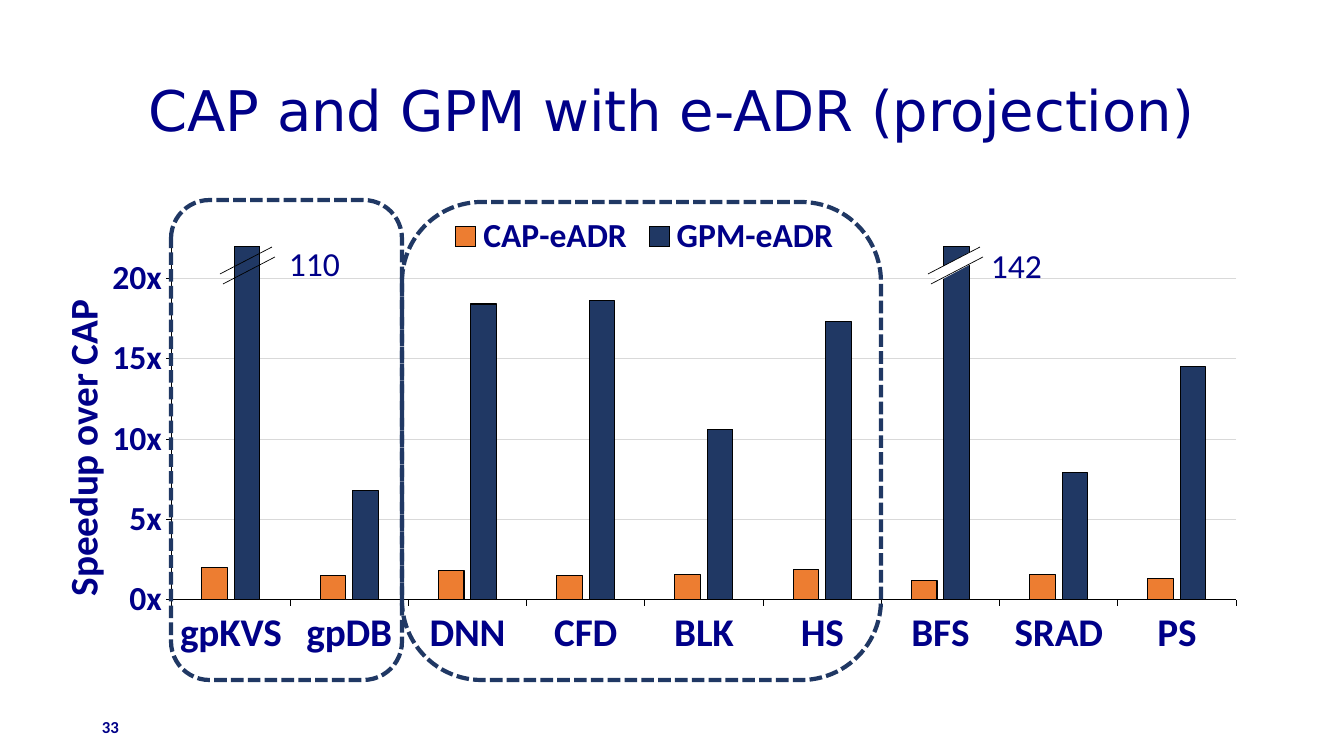
from lxml import etree
from pptx import Presentation
from pptx.chart.data import CategoryChartData
from pptx.dml.color import RGBColor
from pptx.enum.chart import XL_CHART_TYPE, XL_LEGEND_POSITION, XL_TICK_MARK
from pptx.enum.dml import MSO_LINE
from pptx.enum.shapes import MSO_CONNECTOR, MSO_SHAPE
from pptx.enum.text import MSO_ANCHOR, PP_ALIGN
from pptx.oxml import parse_xml
from pptx.oxml.ns import nsdecls, qn
from pptx.util import Emu, Pt

COLUMNS = XL_CHART_TYPE.COLUMN_CLUSTERED
LEGEND_TOP = XL_LEGEND_POSITION.TOP
TICK_OUT = XL_TICK_MARK.OUTSIDE
DASH = MSO_LINE.SQUARE_DOT
STRAIGHT = MSO_CONNECTOR.STRAIGHT
ROUNDED = MSO_SHAPE.ROUNDED_RECTANGLE
PARALLELOGRAM = MSO_SHAPE.FLOWCHART_DATA
TOP, MIDDLE = MSO_ANCHOR.TOP, MSO_ANCHOR.MIDDLE
LEFT, CENTER = PP_ALIGN.LEFT, PP_ALIGN.CENTER

INK = RGBColor(0x00, 0x00, 0x88)
NAVY = RGBColor(0x20, 0x38, 0x64)
ORANGE = RGBColor(0xED, 0x7D, 0x31)
GRID = RGBColor(0xD9, 0xD9, 0xD9)
BLACK = RGBColor(0x00, 0x00, 0x00)
WHITE = RGBColor(0xFF, 0xFF, 0xFF)

BODY_FONT = "Calibri"
TITLE_FONT = "DejaVu Sans"
EMU_PER_PX = 914400 / 100.8

BENCHMARKS = ["gpKVS", "gpDB", "DNN", "CFD", "BLK", "HS", "BFS", "SRAD", "PS"]
SPEEDUPS = [
    ("CAP-eADR", ORANGE, [2, 1.5, 1.8, 1.5, 1.6, 1.9, 1.2, 1.6, 1.3]),
    ("GPM-eADR", NAVY, [110.6, 6.8, 18.4, 18.6, 10.6, 17.3, 142.8, 7.9, 14.5]),
]


def px(*lengths):
    """Turn pixel lengths into a list of EMU lengths."""
    return [Emu(round(n * EMU_PER_PX)) for n in lengths]


def style_font(font, size, bold=False, name=BODY_FONT, color=INK):
    """Set the look of a font."""
    font.size, font.bold, font.name = Pt(size), bold, name
    font.color.rgb = color


def style_line(line, color, width):
    """Set the colour and width in points of a line."""
    line.color.rgb = color
    line.width = Pt(width)


def add_text(s, text, box, size, bold=False, name=BODY_FONT, align=LEFT,
             anchor=TOP, wrap=True, spacing=1.0):
    """Add a one-paragraph text box."""
    tf = s.shapes.add_textbox(*px(*box)).text_frame
    tf.word_wrap, tf.vertical_anchor = wrap, anchor
    p = tf.paragraphs[0]
    p.alignment, p.line_spacing = align, spacing
    r = p.add_run()
    r.text = text
    style_font(r.font, size, bold, name)


def add_line(s, x1, y1, x2, y2):
    """Add a thin black line without a shadow."""
    line = s.shapes.add_connector(STRAIGHT, *px(x1, y1, x2, y2))
    style_line(line.line, BLACK, 0.5)
    etree.SubElement(line._element.spPr, qn("a:effectLst"))


def add_axis_break(s, x, label, label_box, filled=False):
    """Mark a cut bar with two slanted lines and its value."""
    if filled:
        sp = s.shapes.add_shape(PARALLELOGRAM, *px(x, 260, 57, 11))
        sp.rotation = 332
        sp.shadow.inherit = False
        sp.fill.solid()
        sp.fill.fore_color.rgb = WHITE
        sp.line.fill.background()
    for dx, dy in ((0, 0), (3, 10)):
        add_line(s, x + dx, 274 + dy, x + dx + 52, 247 + dy)
    add_text(s, label, label_box, 24, wrap=False)


def add_group_frame(s, *box):
    """Add a dashed rounded frame around a group of benchmarks."""
    sp = s.shapes.add_shape(ROUNDED, *px(*box))
    sp.shadow.inherit = False
    sp.fill.background()
    style_line(sp.line, NAVY, 3)
    sp.line.dash_style = DASH


def manual_layout(x, y, w=None, h=None):
    """Make a chart layout from fractions of the chart's size."""
    tags = [("xMode", "edge"), ("yMode", "edge"), ("x", x), ("y", y)]
    if w is not None:
        tags = [("layoutTarget", "inner"), *tags, ("w", w), ("h", h)]
    inner = "".join(f'<c:{tag} val="{val}"/>' for tag, val in tags)
    return parse_xml(f'<c:layout {nsdecls("c")}><c:manualLayout>{inner}'
                     "</c:manualLayout></c:layout>")


def style_axis(axis, size):
    """Set the ticks, line and labels of an axis."""
    axis.major_tick_mark = TICK_OUT
    style_line(axis.format.line, BLACK, 0.75)
    style_font(axis.tick_labels.font, size, bold=True)


def style_value_axis(axis):
    """Set the scale, grid and title of the value axis."""
    style_axis(axis, 24)
    axis.minimum_scale, axis.maximum_scale, axis.major_unit = 0, 22, 5
    axis.tick_labels.number_format = r"#,##0\x;\-#,##0\x"
    axis.tick_labels.number_format_is_linked = False
    style_line(axis.major_gridlines.format.line, GRID, 0.75)
    r = axis.axis_title.text_frame.paragraphs[0].add_run()
    r.text = "Speedup over CAP"
    style_font(r.font, 28, bold=True)
    title = axis.axis_title._element
    for old in title.findall(qn("c:layout")):
        title.remove(old)
    title.find(qn("c:tx")).addnext(manual_layout(0.01, 0.19))


def add_speedup_chart(s):
    """Add the clustered column chart of speedups."""
    data = CategoryChartData()
    data.categories = BENCHMARKS
    for name, _, values in SPEEDUPS:
        data.add_series(name, values)
    chart = s.shapes.add_chart(COLUMNS, *px(37, 202, 1215, 480), data).chart
    style_font(chart.font, 10, color=BLACK)
    chart.has_title = False
    chart.has_legend = True
    chart.legend.position = LEGEND_TOP
    chart.legend.include_in_layout = True
    style_font(chart.legend.font, 24, bold=True)
    plot = chart.plots[0]
    plot.gap_width, plot.overlap = 236, -27
    plot.vary_by_categories = False
    for series, (_, color, _) in zip(plot.series, SPEEDUPS):
        series.format.fill.solid()
        series.format.fill.fore_color.rgb = color
        style_line(series.format.line, BLACK, 0.75)
    style_axis(chart.category_axis, 28)
    style_value_axis(chart.value_axis)
    area = chart._chartSpace.chart.plotArea
    for old in area.findall(qn("c:layout")):
        area.remove(old)
    area.insert(0, manual_layout(0.111, 0.092, 0.876, 0.737))


def main():
    """Build the slide and save it."""
    prs = Presentation()
    prs.slide_width, prs.slide_height = px(1344, 756)
    s = prs.slides.add_slide(prs.slide_layouts[6])
    add_text(s, "CAP and GPM with e-ADR (projection)", (92, 40, 1159, 146), 40,
             name=TITLE_FONT, align=CENTER, anchor=MIDDLE, spacing=0.9)
    add_speedup_chart(s)
    add_text(s, "33", (92, 707, 302, 40), 12, bold=True, anchor=MIDDLE)
    add_axis_break(s, 220, "110", (279, 238, 72, 50))
    add_axis_break(s, 928, "142", (981, 240, 72, 50), filled=True)
    add_group_frame(s, 171, 200, 231, 480)
    add_group_frame(s, 402, 202, 479, 478)
    prs.save("out.pptx")


if __name__ == "__main__":
    main()
